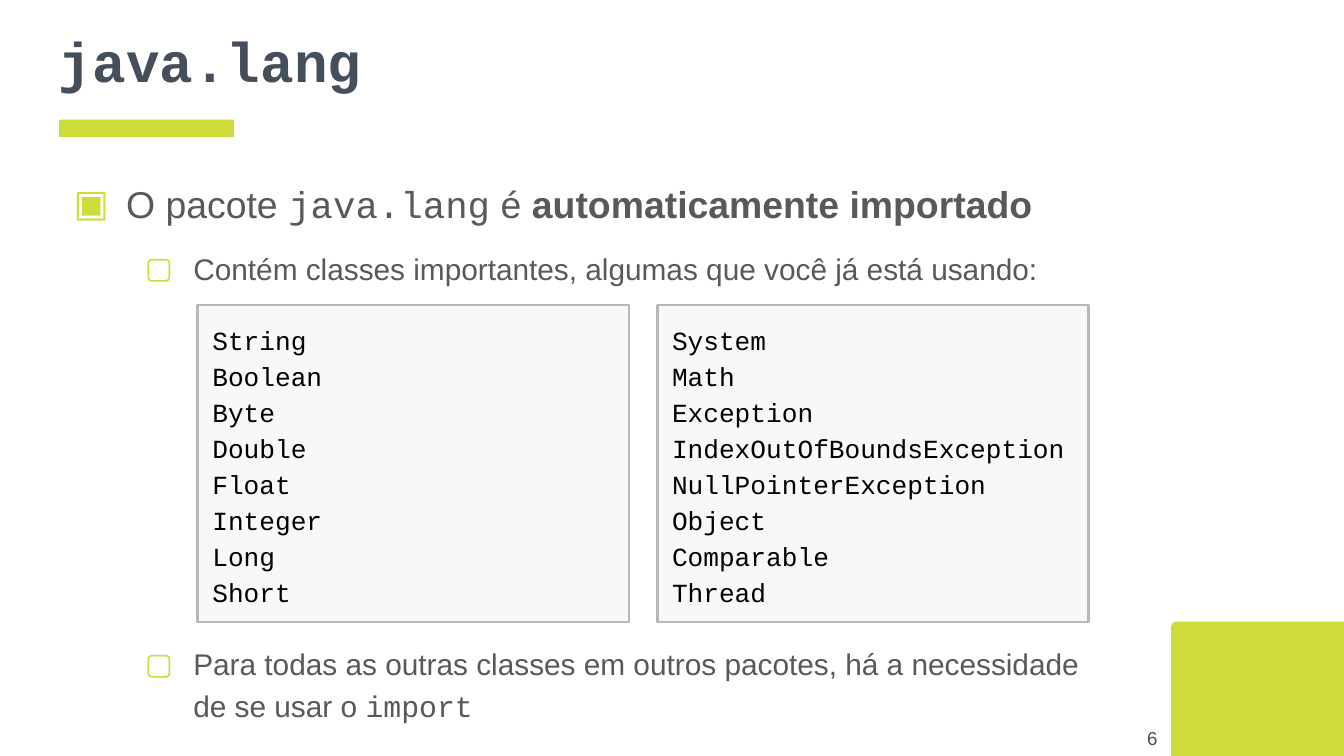
from lxml import etree
from pptx import Presentation
from pptx import util as u
from pptx.dml.color import RGBColor
from pptx.enum import shapes, text
from pptx.oxml.ns import qn

LIME, SLATE, GRAY = "CDDC39", "454F5B", "595959"
SANS, MONO = "Arial", "Courier New"


def color(value):
    return RGBColor.from_string(value)


def add_run(paragraph, content, size, font, fill, bold=False):
    run = paragraph.add_run()
    run.text = content
    run.font.size = u.Pt(size)
    run.font.name = font
    run.font.bold = bold
    run.font.color.rgb = color(fill)


presentation = Presentation()
presentation.slide_width = u.Inches(10)
presentation.slide_height = u.Inches(10 * 9 / 16)
slide = presentation.slides.add_slide(presentation.slide_layouts[6])

# Lime corner block and title underline
corner = slide.shapes.add_shape(
    shapes.MSO_SHAPE.ROUND_1_RECTANGLE,
    u.Inches(8.86), u.Inches(4.48), u.Inches(1.01), u.Inches(1.3))
corner.rotation = 270
corner.adjustments[0] = 0.034
underline = slide.shapes.add_shape(
    shapes.MSO_SHAPE.RECTANGLE,
    u.Inches(0.44), u.Inches(0.89), u.Inches(1.3), u.Inches(0.13))
for shape in (corner, underline):
    shape.shadow.inherit = False
    shape.fill.solid()
    shape.fill.fore_color.rgb = color(LIME)
    shape.line.fill.background()

# Text frames for title, body and page number
frames = []
for left, top, width, height, anchor in (
    (0.34, 0, 9.32, 0.89, text.MSO_ANCHOR.MIDDLE),
    (0.34, 1.2, 9.32, 0.89, text.MSO_ANCHOR.TOP),
    (8.11, 5.28, 0.6, 0.43, text.MSO_ANCHOR.MIDDLE),
):
    box = slide.shapes.add_textbox(
        u.Inches(left), u.Inches(top), u.Inches(width), u.Inches(height))
    frame = box.text_frame
    frame.word_wrap = True
    frame.vertical_anchor = anchor
    frame.margin_left = frame.margin_right = u.Inches(0.1)
    frame.margin_top = frame.margin_bottom = u.Inches(0.1)
    frames.append(frame)
title, body, page_number = frames

add_run(title.paragraphs[0], "java.lang", 30, MONO, SLATE, True)
page_number.paragraphs[0].alignment = text.PP_ALIGN.RIGHT
add_run(page_number.paragraphs[0], "6", 10, SANS, SLATE)

# Bulleted body: level, bullet, margin, indent, size, space before, runs
bullets = (
    (0, "▣", 0.5, -0.39, 20, 0, (
        ("O pacote ", SANS, False),
        ("java.lang", MONO, False),
        (" é ", SANS, False),
        ("automaticamente importado", SANS, True))),
    (1, "▢", 1, -0.36, 16, 10, (
        ("Contém classes importantes, algumas que você já está usando:", SANS, False),)),
    (1, "▢", 1, -0.36, 16, 190, (
        ("Para todas as outras classes em outros pacotes, há a necessidade ", SANS, False),
        None,
        ("de se usar o ", SANS, False),
        ("import", MONO, False))),
)
for index, (level, bullet, margin, indent, size, before, runs) in enumerate(bullets):
    paragraph = body.add_paragraph() if index else body.paragraphs[0]
    paragraph.level = level
    paragraph.line_spacing = 1.15
    paragraph.space_before = u.Pt(before)
    properties = paragraph._p.get_or_add_pPr()
    properties.set("marL", str(u.Inches(margin)))
    properties.set("indent", str(u.Inches(indent)))
    bullet_color = etree.SubElement(properties, qn("a:buClr"))
    etree.SubElement(bullet_color, qn("a:srgbClr"), val=LIME)
    etree.SubElement(properties, qn("a:buFont"), typeface=SANS)
    etree.SubElement(properties, qn("a:buChar"), char=bullet)
    for run in runs:
        if run is None:
            paragraph.add_line_break()
        else:
            content, font, bold = run
            add_run(paragraph, content, size, font, GRAY, bold)

# Two class lists side by side
class_lists = (
    ("String", "Boolean", "Byte", "Double", "Float", "Integer", "Long", "Short"),
    ("System", "Math", "Exception", "IndexOutOfBoundsException",
     "NullPointerException", "Object", "Comparable", "Thread"),
)
for column, class_names in enumerate(class_lists):
    panel = slide.shapes.add_shape(
        shapes.MSO_SHAPE.RECTANGLE,
        u.Inches(1.47 + column * 3.42), u.Inches(2.27), u.Inches(3.21), u.Inches(2.36))
    panel.shadow.inherit = False
    panel.fill.solid()
    panel.fill.fore_color.rgb = color("F8F8F8")
    panel.line.color.rgb = color("B7B7B7")
    panel.line.width = u.Pt(1.44)
    frame = panel.text_frame
    frame.word_wrap = True
    frame.vertical_anchor = text.MSO_ANCHOR.MIDDLE
    frame.margin_left = frame.margin_right = u.Inches(0.11)
    frame.margin_top = frame.margin_bottom = u.Inches(0.06)
    for index, class_name in enumerate(class_names):
        paragraph = frame.add_paragraph() if index else frame.paragraphs[0]
        paragraph.alignment = text.PP_ALIGN.LEFT
        paragraph.line_spacing = 1.15
        add_run(paragraph, class_name, 14, MONO, "000000")

presentation.save("out.pptx")
